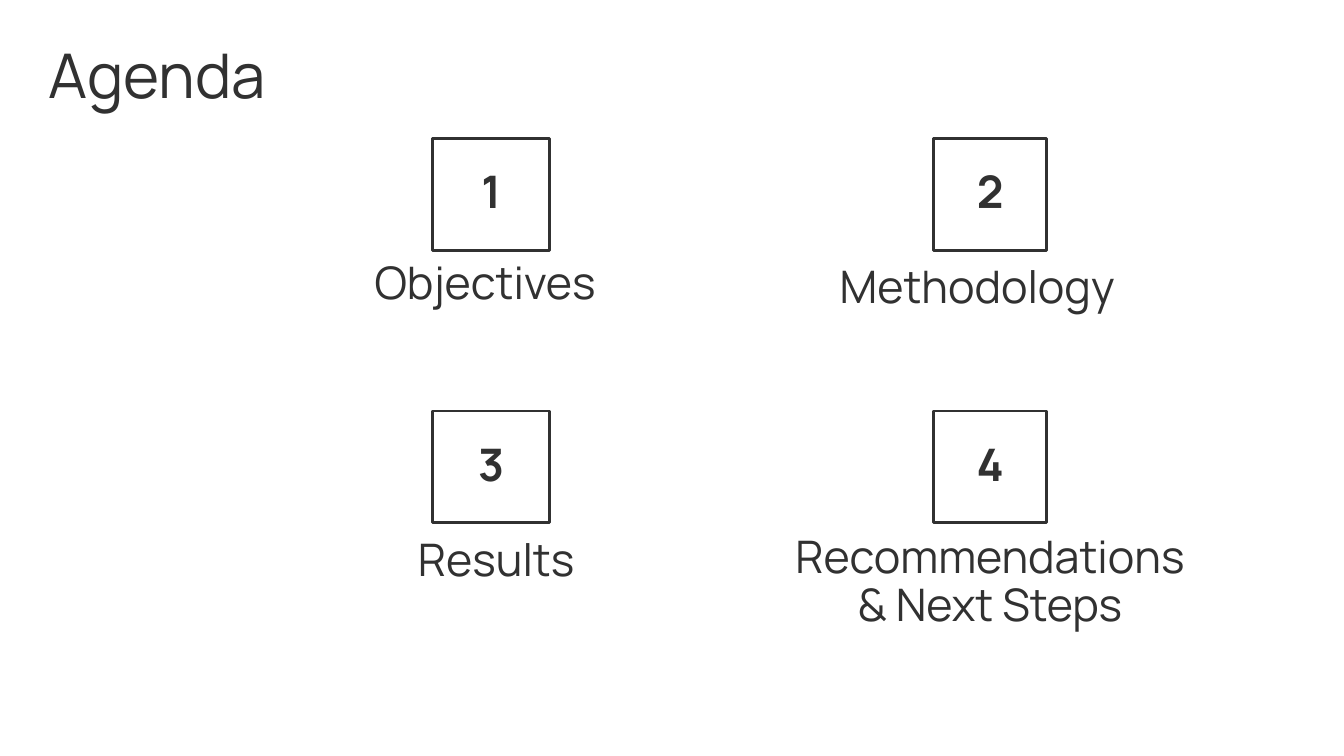
from dataclasses import dataclass

from pptx import Presentation
from pptx.dml.color import RGBColor
from pptx.enum.shapes import MSO_SHAPE
from pptx.enum.text import MSO_ANCHOR, PP_ALIGN
from pptx.util import Cm, Pt

RECTANGLE = MSO_SHAPE.RECTANGLE
MIDDLE = MSO_ANCHOR.MIDDLE
LEFT, CENTER = PP_ALIGN.LEFT, PP_ALIGN.CENTER

FONT = "Manrope"
INK = "313131"
WHITE = "FFFFFF"
INSET = Cm(0.25)

# Grid of numbered boxes: (left, width) by column, top by row
COLUMNS = [(8.18, 2.21), (17.65, 2.13)]
ROWS = [2.62, 7.77]
BOX_HEIGHT = 2.11


@dataclass
class AgendaItem:
    lines: list[str]
    left: float
    top: float
    width: float
    height: float
    align: PP_ALIGN = LEFT


ITEMS = [
    AgendaItem(["Objectives"], 6.83, 4.57, 5.89, 1.63),
    AgendaItem(["Methodology"], 15.62, 4.57, 6.22, 1.78),
    AgendaItem(["Results"], 7.65, 9.88, 4.27, 1.47),
    AgendaItem(["Recommendations", "& Next Steps"], 13.72, 10.29, 9.98, 1.47, CENTER),
]


def color(value: str) -> RGBColor:
    return RGBColor.from_string(value)


def write_text(shape, lines: list[str], *, size: float = 24, bold: bool = False,
               align: PP_ALIGN = LEFT, spacing: float = 0.9) -> None:
    frame = shape.text_frame
    frame.word_wrap = True
    frame.vertical_anchor = MIDDLE
    frame.margin_left = frame.margin_right = INSET
    frame.margin_top = frame.margin_bottom = INSET
    for index, line in enumerate(lines):
        paragraph = frame.add_paragraph() if index else frame.paragraphs[0]
        paragraph.alignment = align
        paragraph.line_spacing = spacing
        run = paragraph.add_run()
        run.text = line
        run.font.name = FONT
        run.font.size = Pt(size)
        run.font.bold = bold
        run.font.color.rgb = color(INK)


def add_label(slide, item: AgendaItem, size: float = 24) -> None:
    box = slide.shapes.add_textbox(Cm(item.left), Cm(item.top), Cm(item.width), Cm(item.height))
    write_text(box, item.lines, size=size, align=item.align)


def add_number_box(slide, number: int, left: float, top: float, width: float) -> None:
    shape = slide.shapes.add_shape(RECTANGLE, Cm(left), Cm(top), Cm(width), Cm(BOX_HEIGHT))
    shape.shadow.inherit = False
    shape.fill.background()
    shape.line.color.rgb = color(INK)
    shape.line.width = Pt(1.5)
    write_text(shape, [str(number)], bold=True, align=CENTER)


def main() -> None:
    presentation = Presentation()
    presentation.slide_width = Cm(25.4)
    presentation.slide_height = Cm(14.29)
    slide = presentation.slides.add_slide(presentation.slide_layouts[6])
    slide.background.fill.solid()
    slide.background.fill.fore_color.rgb = color(WHITE)

    # Heading
    add_label(slide, AgendaItem(["Agenda"], 0.66, 0.69, 5.56, 1.6), size=33)

    # Numbered boxes with their labels, row by row
    for index, item in enumerate(ITEMS):
        row, column = divmod(index, len(COLUMNS))
        left, width = COLUMNS[column]
        add_number_box(slide, index + 1, left, ROWS[row], width)
        add_label(slide, item)

    presentation.save("out.pptx")


if __name__ == "__main__":
    main()
